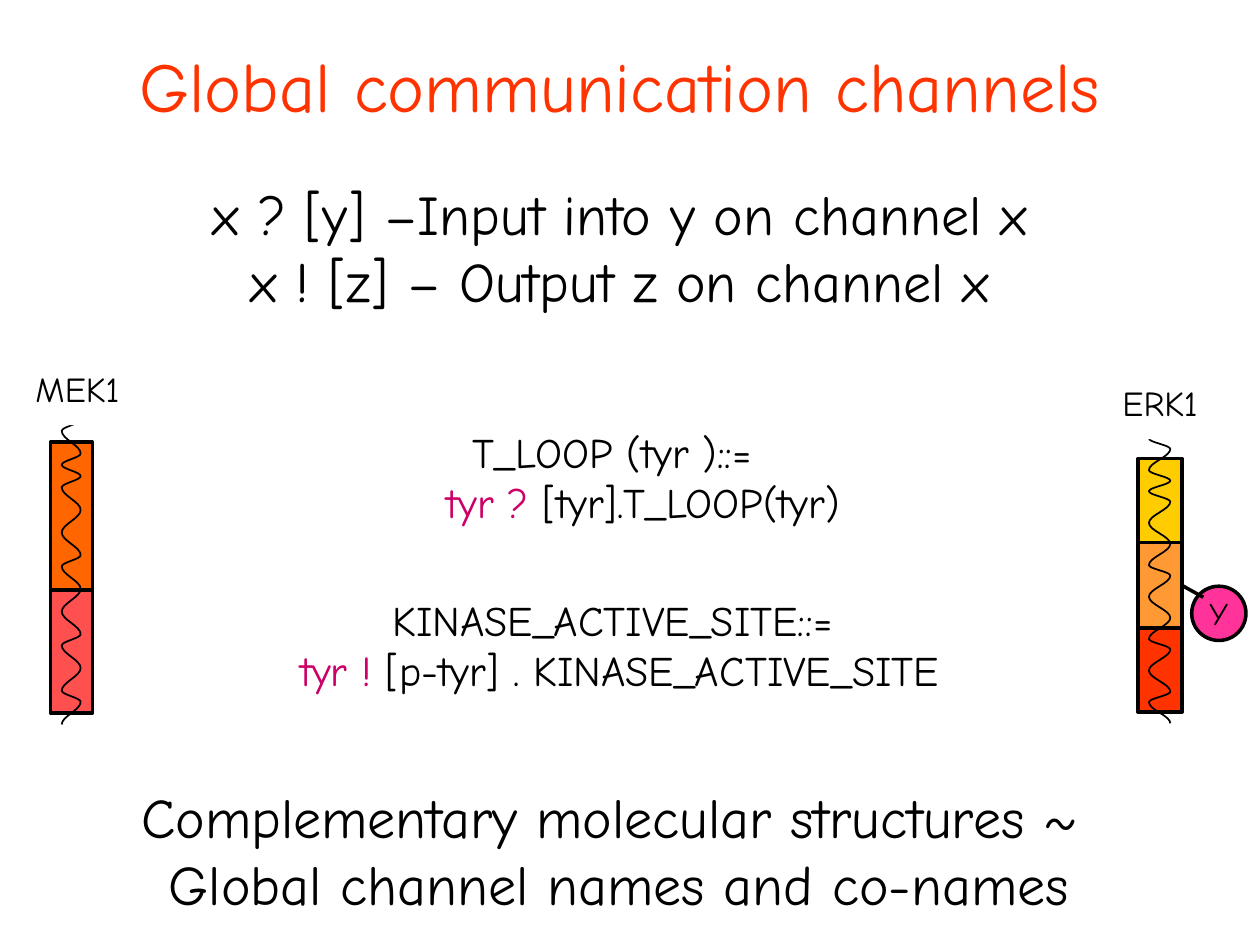
from dataclasses import dataclass
from itertools import accumulate
from math import cos, pi

from lxml import etree
from pptx import Presentation
from pptx import util as u
from pptx.dml.color import RGBColor
from pptx.enum import shapes, text
from pptx.oxml import ns

FONT = "Comic Neue"
COLOURS = {
    "black": "000000", "white": "FFFFFF", "title": "FF3300", "channel": "CC0066",
    "red": "FF3300", "yellow": "FFCC00", "amber": "FF9933",
    "rose": "FF5050", "orange": "FF6600", "residue": "FF3399",
}
HELIX_RHYTHM = (1, 2, 1, 1, 1, 2, 2, 2, 1, 2, 2, 2, 1, 2, 2, 1, 2)
STEPS_PER_BEND = 8


@dataclass(frozen=True)
class Box:
    left: float
    top: float
    width: float
    height: float

    def lengths(self):
        return [u.Pt(n) for n in (self.left, self.top, self.width, self.height)]


@dataclass(frozen=True)
class Passage:
    box: Box
    lines: tuple
    size: float
    colour: str = "black"
    middle: bool = False
    wrap: bool = True
    hanging: float = 0


@dataclass(frozen=True)
class Domain:
    box: Box
    colour: str


@dataclass(frozen=True)
class Helix:
    left: float
    top: float
    width: float
    height: float
    starts_right: bool


@dataclass(frozen=True)
class Protein:
    name: str
    label: Box
    domains: tuple
    helix: Helix


PASSAGES = (
    Passage(Box(0, 0, 708, 96), (("Global communication channels",),), 40, "title", True),
    Passage(Box(63.4, 84, 582, 114),
            (("x ? [y] –Input into y on channel x",), ("x ! [z] – Output z on channel x",)),
            32, middle=True, wrap=False),
    Passage(Box(186, 240, 336, 72),
            (("T_LOOP (tyr )::= ",), ("tyr ?", " [tyr].T_LOOP(tyr)")), 24, hanging=27),
    Passage(Box(129, 336, 450, 60),
            (("KINASE_ACTIVE_SITE::= ",), ("tyr !", " [p-tyr] . KINASE_ACTIVE_SITE")), 24),
    Passage(Box(72.7, 443.5, 562.3, 84),
            (("Complementary molecular structures ~ ",), ("Global channel names and co-names",)),
            32, wrap=False),
)
MEK1 = Protein(
    "MEK1", Box(17.3, 201, 54, 42),
    (Domain(Box(28.8, 337, 24, 70.5), "rose"), Domain(Box(28.8, 252.7, 24, 84.3), "orange")),
    Helix(35.3, 239.8, 10.8, 174.2, True),
)
ERK1 = Protein(
    "ERK1", Box(627, 209, 72, 42),
    tuple(Domain(Box(650.2, 262 + 48 * row, 25.2, 49), colour)
          for row, colour in ((2, "red"), (0, "yellow"), (1, "amber"))),
    Helix(656.6, 250.6, 12.2, 162.7, False),
)


def rgb(colour: str) -> RGBColor:
    return RGBColor.from_string(COLOURS[colour])


def style(paragraph, size: float, colour: str | None = "black") -> None:
    paragraph.alignment = text.PP_ALIGN.CENTER
    paragraph.font.name = FONT
    paragraph.font.size = u.Pt(size)
    if colour:
        paragraph.font.color.rgb = rgb(colour)


def draw_passage(slide, passage: Passage) -> None:
    frame = slide.shapes.add_textbox(*passage.box.lengths()).text_frame
    frame.word_wrap = passage.wrap
    if passage.middle:
        frame.vertical_anchor = text.MSO_ANCHOR.MIDDLE
    paragraph = frame.paragraphs[0]
    if passage.hanging:
        properties = paragraph._p.get_or_add_pPr()
        properties.set("marL", str(u.Pt(passage.hanging)))
        properties.set("indent", str(-u.Pt(passage.hanging)))
    mixed = any(len(pieces) > 1 for pieces in passage.lines)
    style(paragraph, passage.size, None if mixed else passage.colour)
    for number, pieces in enumerate(passage.lines):
        if number:
            paragraph.add_line_break()
        for position, piece in enumerate(pieces):
            run = paragraph.add_run()
            run.text = piece
            if mixed:
                is_channel = len(pieces) > 1 and position == 0
                run.font.color.rgb = rgb("channel" if is_channel else passage.colour)


def draw_shape(slide, kind, box: Box, fill: str, outlined: bool = True,
               caption: str = "", size: float = 18):
    shape = slide.shapes.add_shape(kind, *box.lengths())
    shape.shadow.inherit = False
    shape.fill.solid()
    shape.fill.fore_color.rgb = rgb(fill)
    if outlined:
        shape.line.color.rgb = rgb("black")
        shape.line.width = u.Pt(2)
    else:
        shape.line.fill.background()
    if caption:
        frame = shape.text_frame
        frame.word_wrap = False
        frame.vertical_anchor = text.MSO_ANCHOR.MIDDLE
        frame.text = caption
        style(frame.paragraphs[0], size)
    return shape


def draw_helix(slide, helix: Helix) -> None:
    unit = helix.height / sum(HELIX_RHYTHM)
    starts = accumulate(HELIX_RHYTHM, initial=0)
    points = []
    for bend, (start, span) in enumerate(zip(starts, HELIX_RHYTHM)):
        side = 1 if (bend % 2 == 0) == helix.starts_right else -1
        for step in range(STEPS_PER_BEND + 1):
            share = step / STEPS_PER_BEND
            x = helix.left + helix.width * (1 + side * cos(pi * share)) / 2
            y = helix.top + unit * (start + span * share)
            points.append((u.Pt(x), u.Pt(y)))
    builder = slide.shapes.build_freeform(*points[0])
    builder.add_line_segments(points[1:], close=False)
    curve = builder.convert_to_shape()
    curve.shadow.inherit = False
    curve.fill.background()
    curve.line.color.rgb = rgb("black")
    curve.line.width = u.Pt(1)


def draw_protein(slide, protein: Protein) -> list:
    rectangle = shapes.MSO_SHAPE.RECTANGLE
    domains = [draw_shape(slide, rectangle, d.box, d.colour) for d in protein.domains]
    draw_helix(slide, protein.helix)
    draw_shape(slide, rectangle, protein.label, "white", False, protein.name, 20)
    return domains


def draw_residue(slide, domain) -> None:
    draw_shape(slide, shapes.MSO_SHAPE.OVAL, Box(681, 335, 31, 31), "residue", caption="Y")
    bond = slide.shapes.add_connector(
        shapes.MSO_CONNECTOR.STRAIGHT, *(u.Pt(n) for n in (675.4, 334.5, 687.6, 341.3)))
    bond.begin_connect(domain, 3)
    bond.line.color.rgb = rgb("black")
    bond.line.width = u.Pt(2)
    etree.SubElement(bond._element.spPr, ns.qn("a:effectLst"))


def main() -> None:
    """Build the slide on global communication channels and save it."""
    deck = Presentation()
    deck.slide_width, deck.slide_height = u.Pt(720), u.Pt(540)
    slide = deck.slides.add_slide(deck.slide_layouts[6])
    for passage in PASSAGES:
        draw_passage(slide, passage)
    draw_protein(slide, MEK1)
    draw_residue(slide, draw_protein(slide, ERK1)[-1])
    deck.save("out.pptx")


if __name__ == "__main__":
    main()
